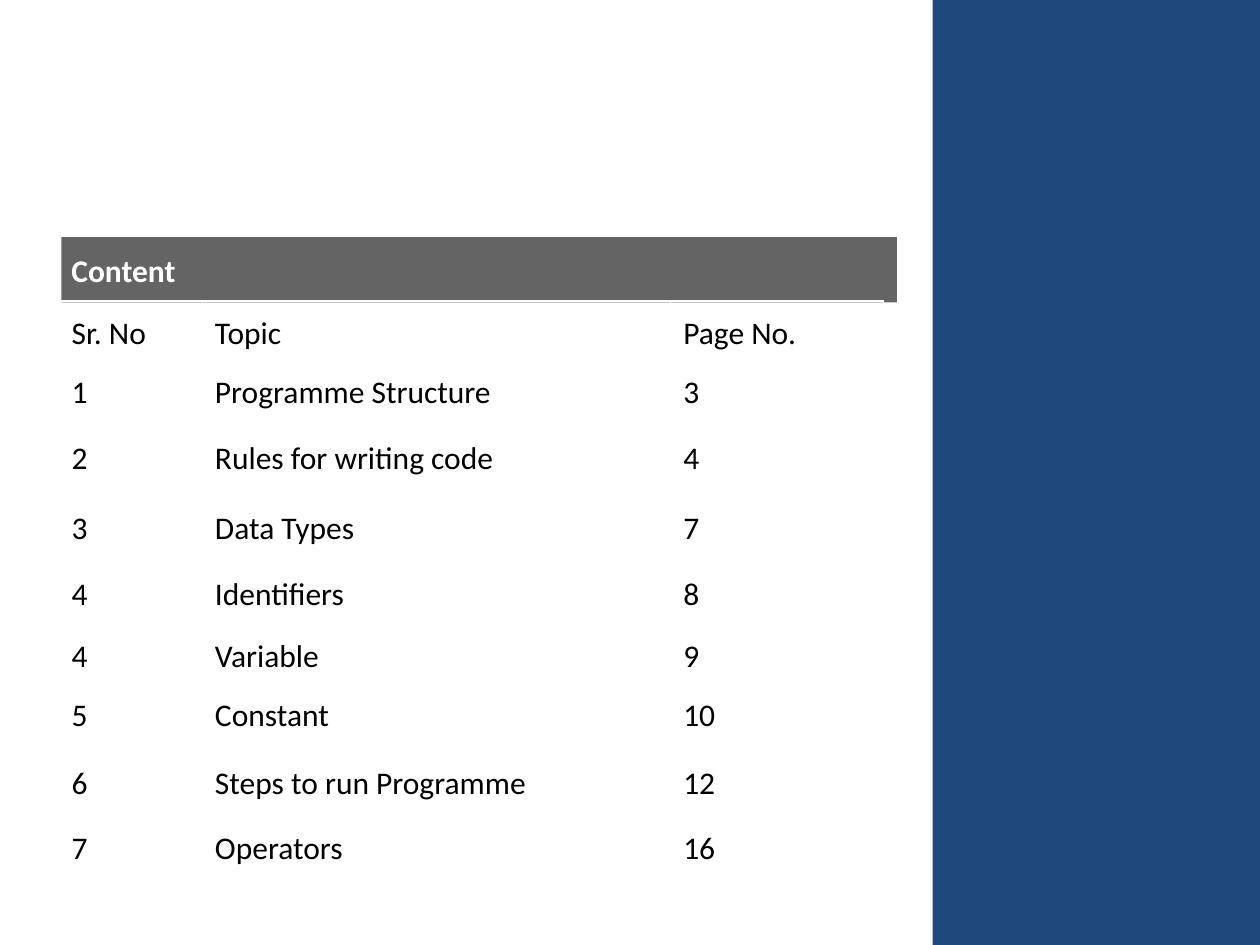
from pptx import Presentation
from pptx.dml.color import RGBColor
from pptx.enum.shapes import MSO_SHAPE
from pptx.enum.text import MSO_ANCHOR
from pptx.util import Cm, Pt

RECTANGLE = MSO_SHAPE.RECTANGLE
MIDDLE = MSO_ANCHOR.MIDDLE

WHITE = RGBColor(0xFF, 0xFF, 0xFF)
BLACK = RGBColor(0x00, 0x00, 0x00)
GREY = RGBColor(0x64, 0x64, 0x64)
NAVY = RGBColor(0x1F, 0x48, 0x7C)

TOPICS = [
    ("Sr. No", "Topic", "Page No."),
    ("1", "Programme Structure", "3"),
    ("2", "Rules for writing code", "4"),
    ("3", "Data Types", "7"),
    ("4", "Identifiers", "8"),
    ("4", "Variable", "9"),
    ("5", "Constant", "10"),
    ("6", "Steps to run Programme", "12"),
    ("7", "Operators", "16"),
]
COLUMN_WIDTHS = [2.89, 9.44, 4.29]
ROW_HEIGHTS = [1.32, 1.04, 1.65, 1.17, 1.47, 0.74, 1.4, 1.32, 1.32]


def write(frame, text, font="Calibri", size=18, color=BLACK, bold=False):
    """Put one formatted run into a text frame."""
    run = frame.paragraphs[0].add_run()
    run.text = text
    run.font.name = font
    run.font.size = Pt(size)
    run.font.color.rgb = color
    run.font.bold = bold


class ContentsSlide:
    """Holds the text style and the current slide."""

    def __init__(self, slide, font="Calibri", size=18):
        self.slide = slide
        self.style = {"font": font, "size": size}

    def block(self, left, top, width, height, color):
        block = self.slide.shapes.add_shape(
            RECTANGLE, Cm(left), Cm(top), Cm(width), Cm(height))
        block.shadow.inherit = False
        block.fill.solid()
        block.fill.fore_color.rgb = color
        block.line.fill.background()

    def label(self, left, top, width, height, text, **text_format):
        frame = self.slide.shapes.add_textbox(
            Cm(left), Cm(top), Cm(width), Cm(height)).text_frame
        frame.word_wrap = True
        write(frame, text, **self.style, **text_format)

    def table(self, left, top, widths, heights, rows):
        table = self.slide.shapes.add_table(
            len(rows), len(widths), Cm(left), Cm(top),
            Cm(sum(widths)), Cm(sum(heights))).table
        table.first_row = False
        table.horz_banding = False
        for column, width in zip(table.columns, widths):
            column.width = Cm(width)
        for row, height, texts in zip(table.rows, heights, rows):
            row.height = Cm(height)
            for cell, text in zip(row.cells, texts):
                cell.fill.background()
                cell.vertical_anchor = MIDDLE
                write(cell.text_frame, text, **self.style)


def main():
    deck = Presentation()
    deck.slide_width, deck.slide_height = Cm(25.4), Cm(19.05)
    contents = ContentsSlide(deck.slides.add_slide(deck.slide_layouts[6]))

    # Heading bar and side panel
    contents.block(1.24, 4.78, 16.84, 1.32, GREY)
    contents.block(18.8, 0, 6.6, 19.05, NAVY)

    # Heading
    contents.label(1.19, 4.93, 16.87, 6.4, "Content", color=WHITE, bold=True)

    # List of topics
    contents.table(1.19, 6.07, COLUMN_WIDTHS, ROW_HEIGHTS, TOPICS)

    deck.save("out.pptx")


if __name__ == "__main__":
    main()
